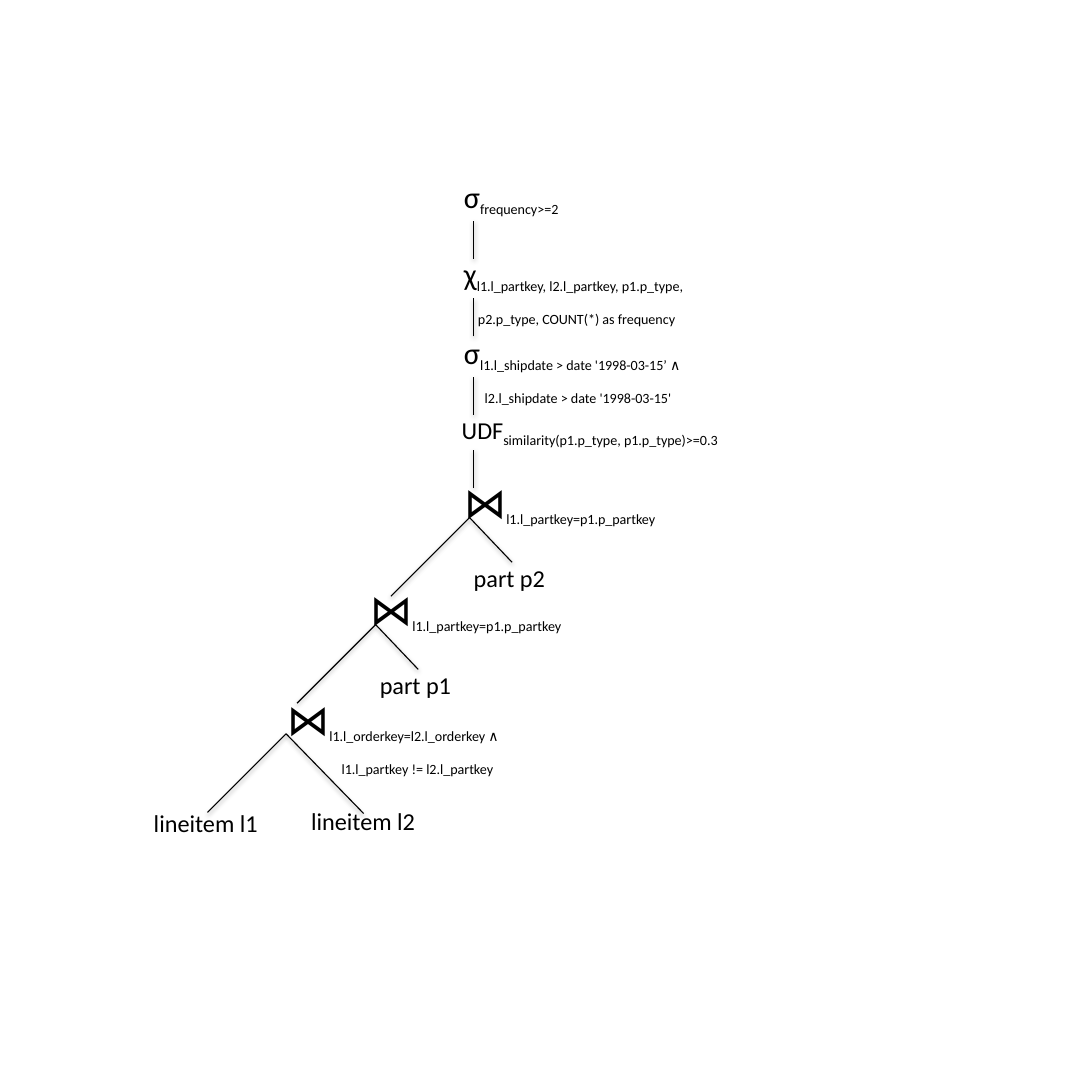
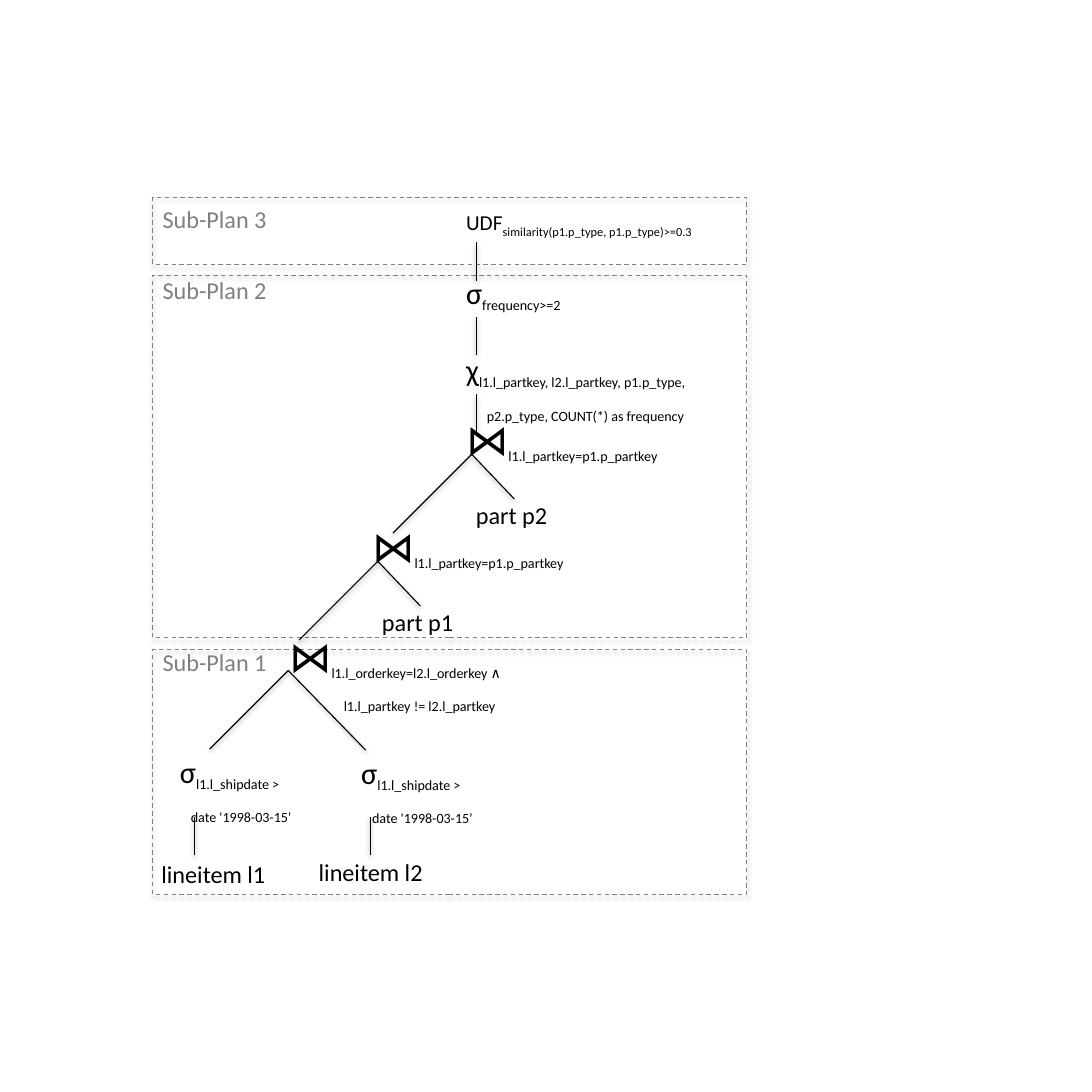
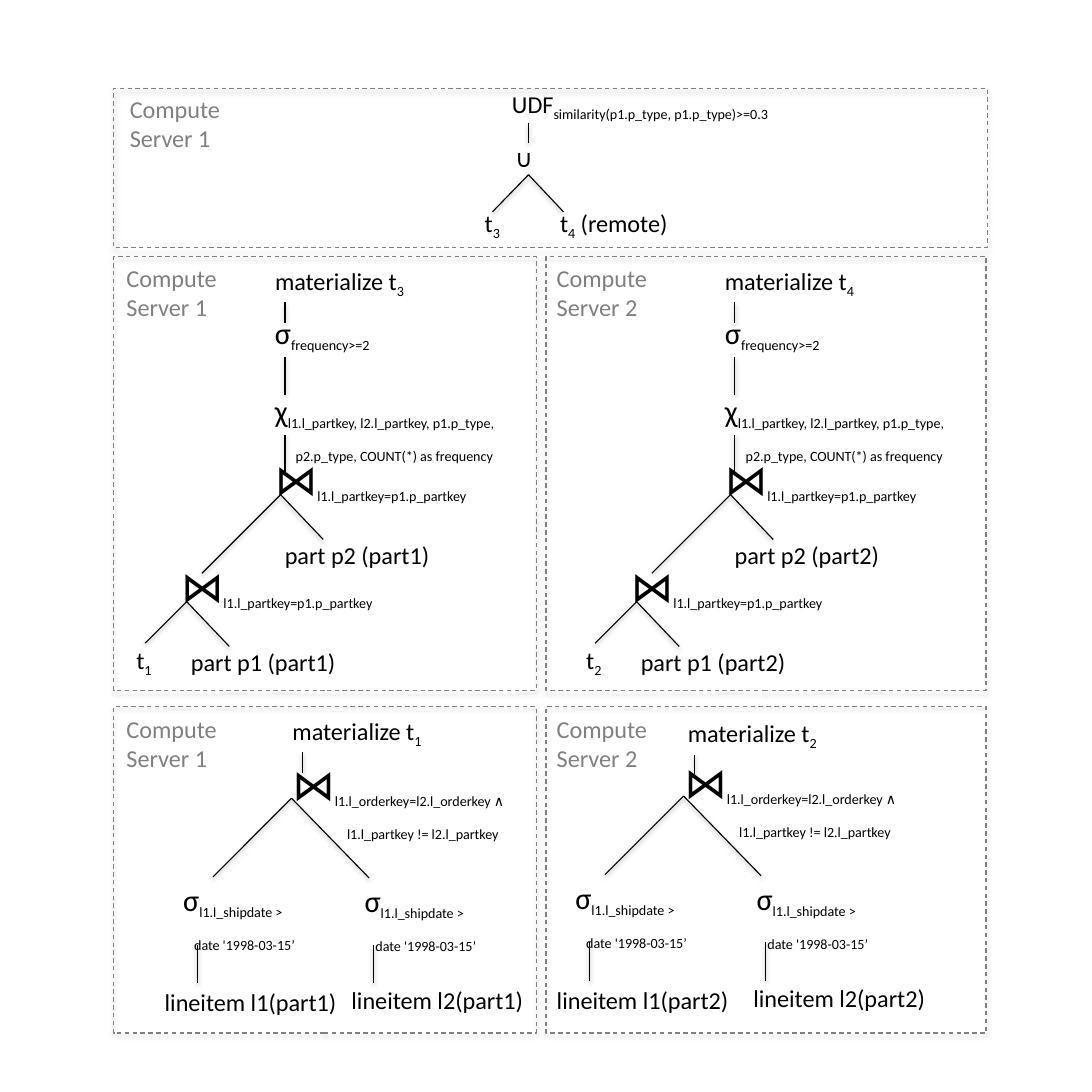
from copy import deepcopy

from lxml.etree import SubElement
from pptx import Presentation
from pptx.dml.color import RGBColor
from pptx.enum.dml import MSO_LINE
from pptx.enum.shapes import MSO_CONNECTOR, MSO_SHAPE
from pptx.enum.text import MSO_AUTO_SIZE
from pptx.oxml.ns import qn
from pptx.util import Inches, Pt

BLACK = RGBColor(0x00, 0x00, 0x00)
GRAY = RGBColor(0x80, 0x80, 0x80)
FONT = "Calibri"
LINE_WIDTH = Pt(0.75)
STEM = 0.35

PARTKEY = "l1.l_partkey=p1.p_partkey"
ORDERKEY = "l1.l_orderkey=l2.l_orderkey ∧ \v\tl1.l_partkey != l2.l_partkey"
SIMILARITY = "similarity(p1.p_type, p1.p_type)>=0.3"
FREQUENCY = "frequency>=2"
GROUPING = "l1.l_partkey, l2.l_partkey, p1.p_type, \v\tp2.p_type, COUNT(*) as frequency"
GROUPING_TWO_PARAGRAPHS = "l1.l_partkey, l2.l_partkey, p1.p_type,\n\t p2.p_type, COUNT(*) as frequency"
SHIPDATE = "l1.l_shipdate > \v\tdate '1998-03-15’"
SHIPDATE_BOTH = "l1.l_shipdate > date '1998-03-15’ ∧ \v\tl2.l_shipdate > date '1998-03-15'"


def add_shadow(shape, distance, opacity):
    effects = shape._element.spPr.get_or_add_effectLst()
    shadow = SubElement(effects, qn("a:outerShdw"), blurRad=str(Pt(3.1)), dist=str(Pt(distance)),
                        dir="5400000", rotWithShape="0")
    color = SubElement(shadow, qn("a:srgbClr"), val=str(BLACK))
    SubElement(color, qn("a:alpha"), val=str(opacity * 1000))


def add_run(p, text, size, color, subscript):
    for i, part in enumerate(text.split("\v")):
        if i:
            p._p.add_br().append(deepcopy(r._r.rPr))
        r = p.add_run()
        r.text = part
        r.font.name, r.font.size = FONT, Pt(size)
        r.font.color.rgb = color
        if subscript:
            r._r.get_or_add_rPr().set("baseline", "-25000")


def set_tab(p, tab):
    tabs = SubElement(p._p.get_or_add_pPr(), qn("a:tabLst"))
    SubElement(tabs, qn("a:tab"), pos=str(Inches(tab)), algn="l")


def add_text(s, text, x, y, w, h=0.37, sub="", tail="", size=16, sub_size=16,
             color=BLACK, wrap=True, tab=None):
    tf = s.shapes.add_textbox(Inches(x), Inches(y), Inches(w), Inches(h)).text_frame
    tf.word_wrap = wrap
    tf.auto_size = MSO_AUTO_SIZE.SHAPE_TO_FIT_TEXT
    p = tf.paragraphs[0]
    for content, points, lowered in ((text, size, False), (sub, sub_size, True), (tail, size, False)):
        for i, line in enumerate(content.split("\n")):
            if i:
                p = tf.add_paragraph()
            if line:
                add_run(p, line, points, color, lowered)
    if tab:
        for p in tf.paragraphs:
            set_tab(p, tab)


def add_line(s, x1, y1, x2, y2):
    line = s.shapes.add_connector(MSO_CONNECTOR.STRAIGHT, Inches(x1), Inches(y1), Inches(x2), Inches(y2))
    line.line.color.rgb = BLACK
    line.line.width = LINE_WIDTH
    add_shadow(line, 1.6, 38)


def add_stem(s, x, y, length=STEM):
    add_line(s, x, y + length, x, y)


def add_branches(s, x, y, left, right):
    for dx, dy in (left, right):
        add_line(s, x + dx, y + dy, x, y)


def add_frame(s, x, y, w, h):
    frame = s.shapes.add_shape(MSO_SHAPE.RECTANGLE, Inches(x), Inches(y), Inches(w), Inches(h))
    frame.shadow.inherit = False
    frame.fill.background()
    frame.line.color.rgb = GRAY
    frame.line.width = LINE_WIDTH
    frame.line.dash_style = MSO_LINE.DASH
    add_shadow(frame, 1.8, 35)


def add_sub_plan(s, number, y, h, label_y):
    add_frame(s, 1.4, y, 5.44, h)
    add_text(s, f"Sub-Plan {number}", 1.39, label_y, 1.17, color=GRAY, wrap=False)


def add_server(s, number, x, y, w, h, label_x, label_y):
    add_frame(s, x, y, w, h)
    add_text(s, f"Compute\nServer {number}", label_x, label_y, 1.04, 0.64, color=GRAY, wrap=False)


def add_operator(s, symbol, sub, x, y, w=2.88, h=0.62, tab=0.19):
    add_text(s, symbol, x, y, w, h, sub=sub, size=20, tab=tab)
    add_stem(s, x + 0.19, y + 0.44)


def add_udf(s, x, y, stem_dx, stem_dy, length=STEM, size=16, h=0.37):
    add_text(s, "UDF", x, y, 2.88, h, sub=SIMILARITY, size=size, sub_size=size)
    add_stem(s, x + stem_dx, y + stem_dy, length)


def add_materialize(s, number, x, y, stem_dx=0.19):
    add_text(s, "materialize t", x, y, 1.61, sub=str(number))
    add_stem(s, x + stem_dx, y + 0.38, 0.19)


def add_part_join(s, part, x, y, w, drop=0.72):
    add_text(s, "⋈", x, y, 2, 0.57, sub=PARTKEY, size=28, wrap=False)
    add_text(s, part, x + 0.09, y + 0.8, w, wrap=False)
    add_branches(s, x + 0.15, y + 0.43, (-drop, drop), (0.39, 0.41))


def add_part_joins(s, x, y, suffix="", w=0.86, drop=0.72):
    add_part_join(s, "part p2" + suffix, x, y, w)
    add_part_join(s, "part p1" + suffix, x - 0.86, y + 0.98, w, drop)


def add_grouping_plan(s, x, y, **joins):
    add_operator(s, "σ", FREQUENCY, x, y - 1.27, 1.64, 0.44)
    add_operator(s, "χ", GROUPING, x, y - 0.56, 2.63)
    add_part_joins(s, x, y, **joins)


def add_order_join(s, x, y):
    add_text(s, "⋈", x, y, 2.34, 0.75, sub=ORDERKEY, size=28, wrap=False, tab=0.5)
    add_branches(s, x + 0.09, y + 0.42, (-0.72, 0.72), (0.71, 0.73))


def add_lineitems(s, xs, y, suffix="", w=1.17):
    for i, x in enumerate(xs):
        add_text(s, f"lineitem l{i + 1}{suffix}", x, y - 0.015 * i, w, wrap=False)


def add_order_plan(s, x, y, lineitem_xs, suffix="", w=1.17):
    add_order_join(s, x, y)
    for dx, dy, stem_dx in ((-1, 1.13, -0.77), (0.66, 1.14, 0.84)):
        add_text(s, "σ", x + dx, y + dy, 1.84, 0.62, sub=SHIPDATE, size=20, tab=0.1)
        add_stem(s, x + stem_dx, y + 1.76)
    add_lineitems(s, lineitem_xs, y + 2.1, suffix, w)


def build_logical_plan(s):
    add_operator(s, "σ", FREQUENCY, 4.15, 1.58, h=0.44)
    add_operator(s, "χ", GROUPING_TWO_PARAGRAPHS, 4.15, 2.29, 4.83, tab=0.1)
    add_operator(s, "σ", SHIPDATE_BOTH, 4.15, 3.01)
    add_udf(s, 4.13, 3.75, 0.21, 0.37)
    add_part_joins(s, 4.15, 4.31)
    add_order_join(s, 2.53, 6.3)
    add_lineitems(s, (1.31, 2.75), 7.35)


def build_sub_plans(s):
    for number, y, h, label_y in ((1, 5.95, 2.24, 5.88), (2, 2.52, 3.32, 2.47), (3, 1.81, 0.61, 1.82)):
        add_sub_plan(s, number, y, h, label_y)
    add_udf(s, 4.17, 1.87, 0.19, 0.35, size=14, h=0.52)
    add_grouping_plan(s, 4.17, 3.73)
    add_order_plan(s, 2.55, 5.72, (1.38, 2.82))


def build_server_plans(s):
    add_server(s, 1, 1.04, 0.81, 8, 1.46, 1.09, 0.81)
    add_udf(s, 4.59, 0.77, 0.25, 0.36, 0.18)
    add_text(s, "∪", 4.62, 1.26, 0.46)
    add_branches(s, 4.84, 1.6, (-0.33, 0.34), (0.32, 0.34))
    add_text(s, "t", 4.34, 1.86, 0.42, sub="3")
    add_text(s, "t", 5.03, 1.86, 1.25, sub="4", tail=" (remote)")

    servers = (
        (1, 1.04, 3.87, 1.06, 2.42, (2.58, 6.51, 0.19), (2.58, 6.89), (1.41, 3.12)),
        (2, 5, 4.03, 5, 6.54, (6.2, 6.53, 0.16), (6.17, 6.87), (5, 6.8)),
    )
    for number, x, w, label_x, plan_x, materialize, join, lineitem_xs in servers:
        suffix = f"(part{number})"
        add_server(s, number, x, 2.35, w, 3.97, label_x, 2.36)
        add_materialize(s, number + 2, plan_x, 2.39)
        add_grouping_plan(s, plan_x, 4.1, suffix=" " + suffix, w=1.54, drop=0.38)
        add_text(s, "t", plan_x - 1.27, 5.86, 0.42, sub=str(number))
        add_server(s, number, x, 6.47, w, 2.99, label_x, 6.49)
        add_materialize(s, number, *materialize)
        add_order_plan(s, *join, lineitem_xs, suffix, 1.8)


def main():
    prs = Presentation()
    prs.slide_width = prs.slide_height = Inches(10)
    for build in (build_logical_plan, build_sub_plans, build_server_plans):
        build(prs.slides.add_slide(prs.slide_layouts[6]))
    prs.save("out.pptx")


if __name__ == "__main__":
    main()
